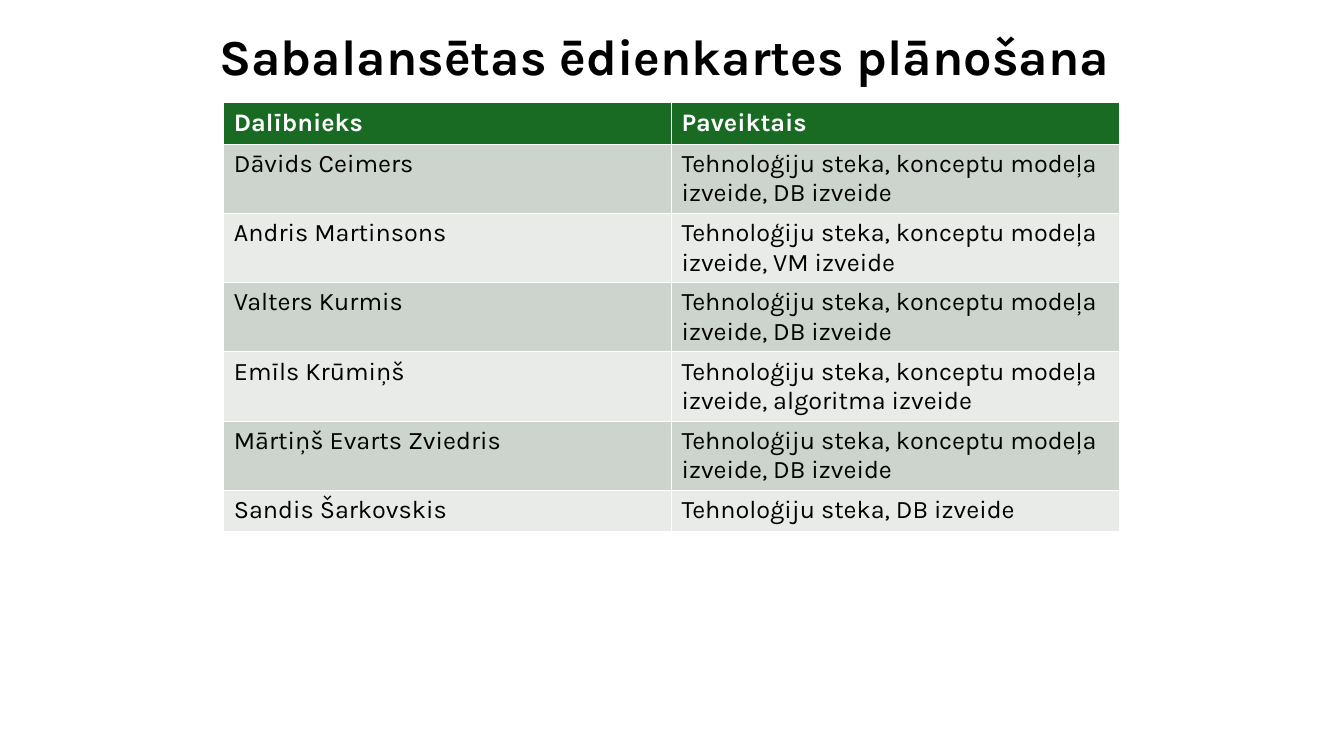
"""Build the slide that lists each participant and the work they have done."""
from dataclasses import dataclass

import pptx
import pptx.dml.color
import pptx.enum.text
import pptx.util

Inches = pptx.util.Inches
FONT = "Karla"
BLACK, WHITE = "000000", "FFFFFF"
HEADER_FILL = "196B24"
BAND_FILLS = ("CCD4CD", "E8EBE8")
COLUMN_WIDTH, ROW_HEIGHT = 4.44, 0.41
CONCEPT_WORK = "Tehnoloģiju steka, konceptu modeļa izveide, "


@dataclass(frozen=True)
class Entry:
    """One table row: a participant and the work done."""
    participant: str
    work: str


HEADINGS = Entry("Dalībnieks", "Paveiktais")
ENTRIES = (
    Entry("Dāvids Ceimers", CONCEPT_WORK + "DB izveide"),
    Entry("Andris Martinsons", CONCEPT_WORK + "VM izveide"),
    Entry("Valters Kurmis", CONCEPT_WORK + "DB izveide"),
    Entry("Emīls Krūmiņš", CONCEPT_WORK + "algoritma izveide"),
    Entry("Mārtiņš Evarts Zviedris", CONCEPT_WORK + "DB izveide"),
    Entry("Sandis Šarkovskis", "Tehnoloģiju steka, DB izveide"),
)


def rgb(value: str) -> pptx.dml.color.RGBColor:
    """Return the colour for a hex string."""
    return pptx.dml.color.RGBColor.from_string(value)


def write(frame, text: str, *, size: float = 18, color: str = BLACK,
          bold: bool = False, align=None, line_spacing=None) -> None:
    """Put formatted text into a text frame."""
    paragraph = frame.paragraphs[0]
    paragraph.alignment = align
    paragraph.line_spacing = line_spacing
    run = paragraph.add_run()
    run.text = text
    run.font.name = FONT
    run.font.size = pptx.util.Pt(size)
    run.font.bold = bold
    run.font.color.rgb = rgb(color)


def add_heading(slide, text: str) -> None:
    """Place and format the slide title."""
    heading = slide.shapes.title
    heading.left, heading.top = Inches(1.59), Inches(0.13)
    heading.width, heading.height = Inches(10), Inches(0.78)
    frame = heading.text_frame
    frame.auto_size = pptx.enum.text.MSO_AUTO_SIZE.NONE
    frame.vertical_anchor = pptx.enum.text.MSO_ANCHOR.BOTTOM
    write(frame, text, size=36, bold=True, line_spacing=0.9,
          align=pptx.enum.text.PP_ALIGN.CENTER)


def fill_row(row, entry: Entry, *, fill: str, color: str, bold: bool) -> None:
    """Fill the cells of one table row."""
    row.height = Inches(ROW_HEIGHT)
    for cell, text in zip(row.cells, (entry.participant, entry.work)):
        cell.fill.solid()
        cell.fill.fore_color.rgb = rgb(fill)
        write(cell.text_frame, text, color=color, bold=bold)


def add_work_table(slide) -> None:
    """Add the table of participants."""
    row_count = len(ENTRIES) + 1
    work_table = slide.shapes.add_table(
        row_count, 2, Inches(2.22), Inches(1.02),
        Inches(2 * COLUMN_WIDTH), Inches(row_count * ROW_HEIGHT)).table
    fill_row(work_table.rows[0], HEADINGS, fill=HEADER_FILL, color=WHITE, bold=True)
    for index, entry in enumerate(ENTRIES):
        fill_row(work_table.rows[index + 1], entry,
                 fill=BAND_FILLS[index % 2], color=BLACK, bold=False)


def main() -> None:
    """Create and save the presentation."""
    deck = pptx.Presentation()
    deck.slide_width, deck.slide_height = Inches(13.33), Inches(7.5)
    slide = deck.slides.add_slide(deck.slide_layouts[5])
    slide.background.fill.solid()
    slide.background.fill.fore_color.rgb = rgb(WHITE)
    add_heading(slide, "Sabalansētas ēdienkartes plānošana")
    add_work_table(slide)
    deck.save("out.pptx")


if __name__ == "__main__":
    main()
